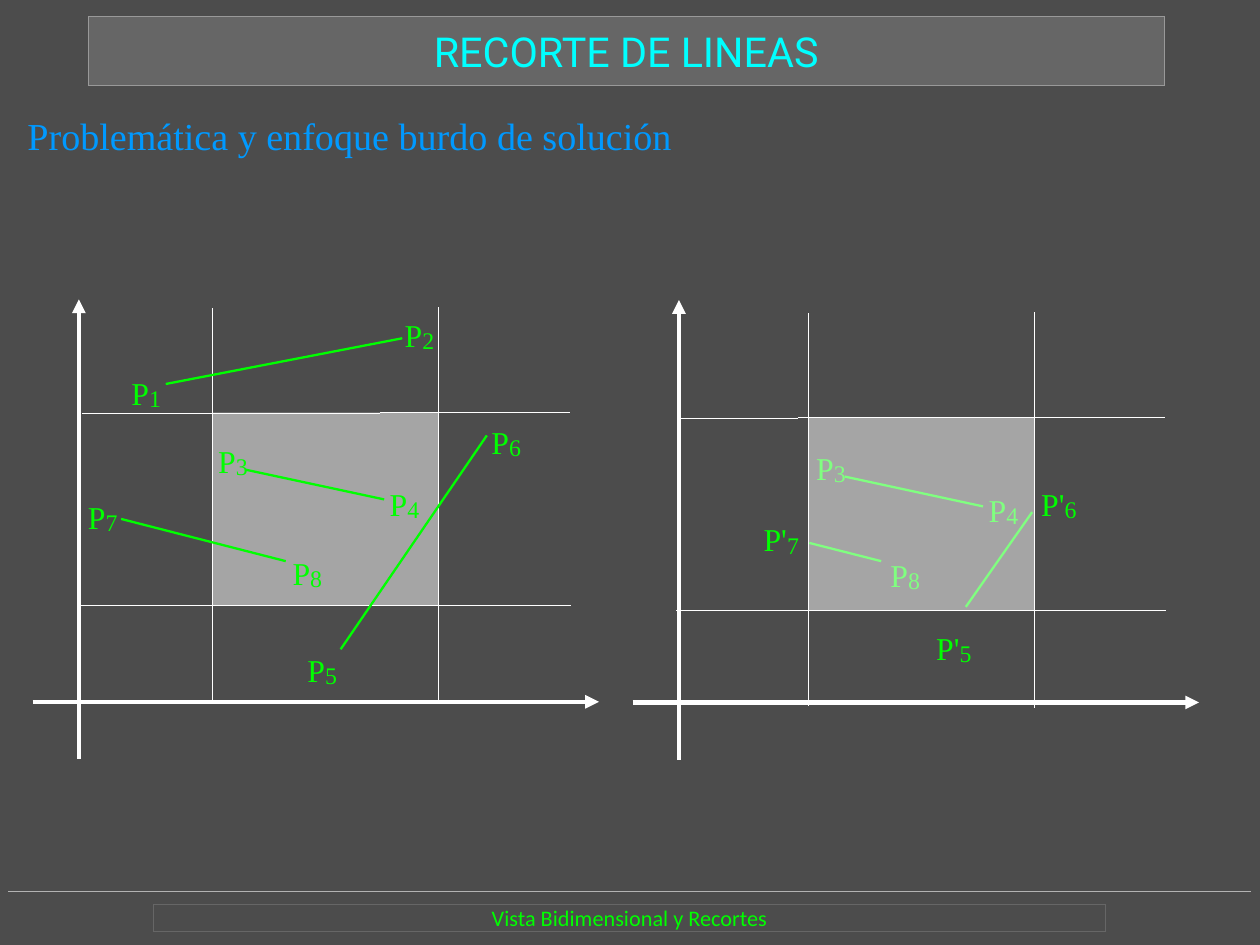
"""Builds the slide on line clipping: lines against a window, before and after the cut."""
from lxml.etree import SubElement
from pptx import Presentation
from pptx.dml.color import RGBColor
from pptx.enum.shapes import MSO_CONNECTOR as CONNECTOR, MSO_SHAPE as SHAPE
from pptx.enum.text import MSO_ANCHOR as ANCHOR, PP_ALIGN as ALIGN
from pptx.oxml.ns import qn
from pptx.util import Pt

color = RGBColor.from_string
WHITE, GREEN, SERIF = "FFFFFF", "00FF00", "Times New Roman"
HAIRLINE = 0.01

deck = Presentation()
deck.slide_width, deck.slide_height = Pt(793.7), Pt(595.28)
slide = deck.slides.add_slide(deck.slide_layouts[6])
slide.background.fill.solid()
slide.background.fill.fore_color.rgb = color("4C4C4C")
shapes = slide.shapes


def add_line(ends, hue, width, arrow=False):
    line = shapes.add_connector(CONNECTOR.STRAIGHT, *map(Pt, ends))
    line.line.color.rgb = color(hue)
    line.line.width = Pt(width)
    properties = line._element.spPr
    if arrow:
        SubElement(properties.find(qn("a:ln")), qn("a:tailEnd"), type="triangle")
    SubElement(properties, qn("a:effectLst"))


def write(box, text, hue, size, font, align=ALIGN.LEFT, anchor=ANCHOR.TOP, wrap=True):
    frame = box.text_frame
    layout = {"margin_left": 0, "margin_right": 0, "margin_top": 0, "margin_bottom": 0,
              "word_wrap": wrap, "vertical_anchor": anchor}
    for name, value in layout.items():
        setattr(frame, name, value)
    para = frame.paragraphs[0]
    para.alignment = align
    span = para.add_run()
    span.text = text
    for name, value in {"size": Pt(size), "name": font}.items():
        setattr(span.font, name, value)
    span.font.color.rgb = color(hue)
    return para


add_line((5.5, 561.3, 787.7, 561.3), "B3B3B3", HAIRLINE)

bars = [
    ((96.5, 569.5, 600, 17.3), None, "666666",
     ("Vista Bidimensional y Recortes", GREEN, 14, "Calibri")),
    ((55.9, 10.1, 677.5, 43.9), "666666", "999999",
     ("RECORTE DE LINEAS", "00FFFF", 26, "Roboto")),
]
for place, fill, outline, wording in bars:
    bar = shapes.add_shape(SHAPE.RECTANGLE, *map(Pt, place))
    bar.shadow.inherit = False
    if fill:
        bar.fill.solid()
        bar.fill.fore_color.rgb = color(fill)
    else:
        bar.fill.background()
    bar.line.color.rgb = color(outline)
    bar.line.width = Pt(HAIRLINE)
    write(bar, *wording, ALIGN.CENTER, ANCHOR.MIDDLE)

subtitle = shapes.add_textbox(*map(Pt, (17.3, 70.6, 717, 28.8)))
write(subtitle, "Problemática y enfoque burdo de solución", "0099FF", 24, SERIF)

grid = [(133.9, 194.4, 133.9, 441.4), (276.5, 193.7, 276.5, 442.8),
        (51.8, 260.6, 358.6, 259.9), (51.1, 381.6, 359.3, 381.6)]
axes = [(49.7, 478.1, 49.7, 188.6), (20.5, 442.1, 377.3, 442.1)]
window_place = (133.9, 259.9, 142.6, 121.7)

graphs = [
    {
        "order": ["grid", "window", "axes", "segments", "labels"],
        "grid_shift": (0, 0),
        "axes_shift": (0, 0),
        "segments": [(214.6, 409, 306.7, 274.3), (154.8, 295.9, 242, 314.6),
                     (104.4, 241.9, 253.4, 213.1), (76.3, 326.9, 180, 353.5)],
        "labels": [("P", "8", 184.3, 342.7), ("P", "7", 55.4, 307.4),
                   ("P", "1", 82.8, 229.7), ("P", "2", 254.9, 193),
                   ("P", "3", 137.5, 272.2), ("P", "4", 245.5, 299.5),
                   ("P", "5", 193.7, 403.9), ("P", "6", 309.6, 260.6)],
    },
    {
        "order": ["segments", "labels", "axes", "grid", "window"],
        "grid_shift": (375.1, 2.9),
        "axes_shift": (378, 0.4),
        "segments": [(509.8, 342, 555.1, 353.5), (532.1, 300.2, 619.2, 319),
                     (608.4, 382.3, 650.2, 322.6)],
        "labels": [("P", "8", 560.9, 344.2), ("P'", "7", 481, 321.8),
                   ("P", "3", 514.1, 276.5), ("P", "4", 622.8, 303.1),
                   ("P'", "5", 589.7, 390.2), ("P'", "6", 655.9, 299.5)],
    },
]

for graph in graphs:
    right, down = graph["grid_shift"]
    axes_right, axes_down = graph["axes_shift"]
    for layer in graph["order"]:
        if layer == "grid":
            for x1, y1, x2, y2 in grid:
                add_line((x1 + right, y1 + down, x2 + right, y2 + down), WHITE, HAIRLINE)
        elif layer == "axes":
            for x1, y1, x2, y2 in axes:
                add_line((x1 + axes_right, y1 + axes_down, x2 + axes_right, y2 + axes_down),
                         WHITE, 2.89, arrow=True)
        elif layer == "segments":
            for segment in graph["segments"]:
                add_line(segment, GREEN, 1.45)
        elif layer == "window":
            left, top, width, height = window_place
            window = shapes.add_shape(SHAPE.RECTANGLE, Pt(left + right), Pt(top + down),
                                      Pt(width), Pt(height))
            window.shadow.inherit = False
            window.line.fill.background()
            window.fill.solid()
            window.fill.fore_color.rgb = color(WHITE)
            tint = window._element.spPr.find(qn("a:solidFill")).find(qn("a:srgbClr"))
            SubElement(tint, qn("a:alpha"), val="50000")
        else:
            for letter, number, left, top in graph["labels"]:
                label = shapes.add_textbox(Pt(left), Pt(top), Pt(13 + 6.4 * len(letter)), Pt(27.4))
                para = write(label, letter, GREEN, 20, SERIF, wrap=False)
                span = para.add_run()
                span.text = number
                for name, value in {"size": Pt(25.9), "name": SERIF}.items():
                    setattr(span.font, name, value)
                span.font.color.rgb = color(GREEN)
                span._r.get_or_add_rPr().set("baseline", "-5000")

deck.save("out.pptx")
